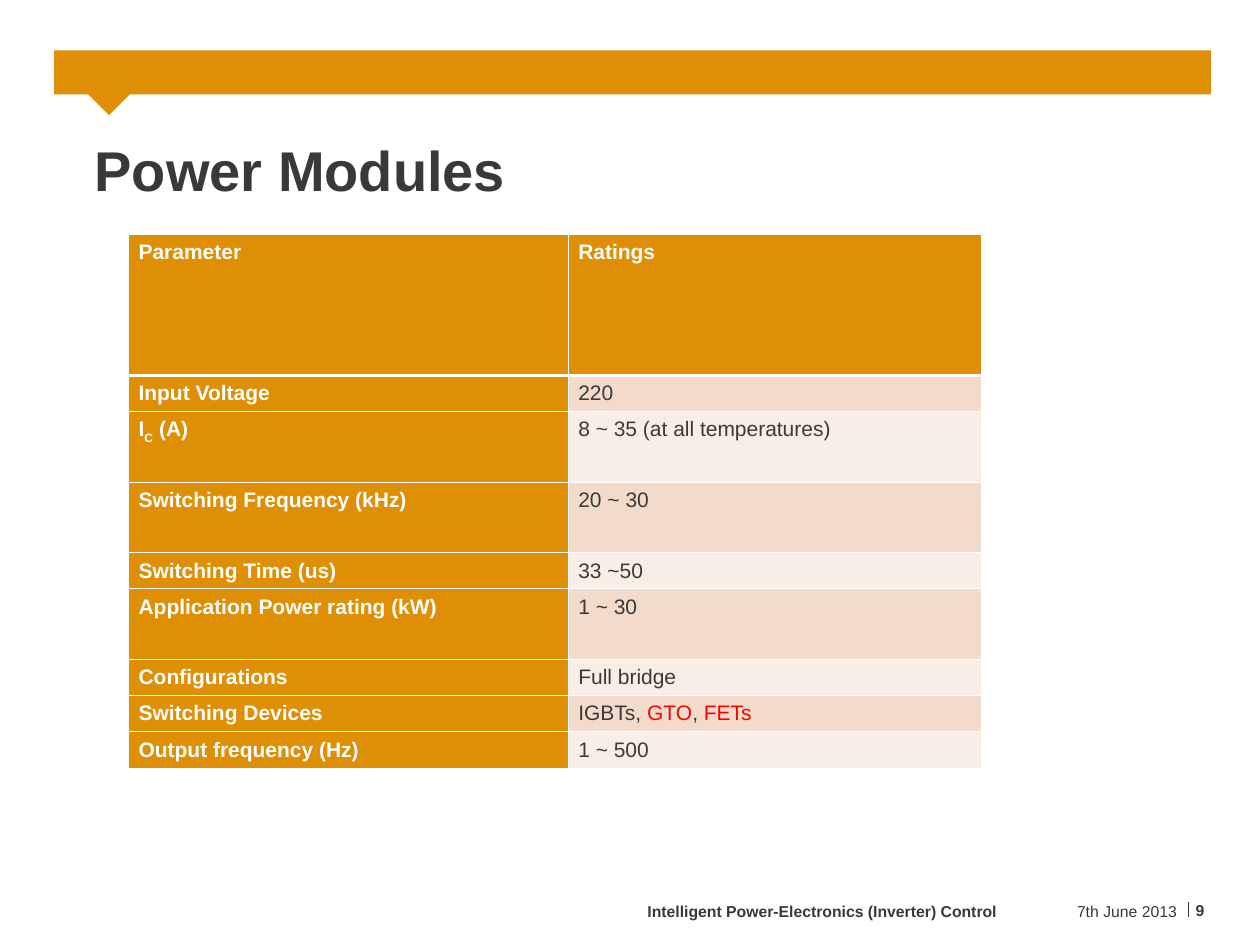
import dataclasses

import pptx
import pptx.dml.color
import pptx.enum.shapes
import pptx.enum.text
import pptx.oxml
import pptx.oxml.ns
import pptx.util

Inches = pptx.util.Inches
Pt = pptx.util.Pt
Align = pptx.enum.text.PP_ALIGN
Anchor = pptx.enum.text.MSO_ANCHOR


@dataclasses.dataclass(frozen=True)
class Theme:
    font: str = "Arial"
    dark: str = "393938"
    white: str = "FFFFFF"
    accent: str = "DF8F05"
    alert: str = "FF0000"
    bands: tuple = ("F3DBCC", "F9EEE7")
    title: int = 32
    body: int = 12
    small: int = 9
    thin: float = 0.45
    thick: float = 1.47


def rgb(code):
    return pptx.dml.color.RGBColor.from_string(code)


class Deck:
    def __init__(self, theme):
        self.theme = theme
        self.file = pptx.Presentation()
        self.file.slide_width = Inches(10)
        self.file.slide_height = Inches(7.5)
        self.slide = self.file.slides.add_slide(self.file.slide_layouts[5])

    def style(self, run, size, color, bold=False):
        font = run.font
        font.name = self.theme.font
        font.size = Pt(size)
        font.bold = bold
        font.color.rgb = rgb(color)

    def frame(self, frame, anchor, right=0, bottom=0):
        frame.word_wrap = True
        frame.vertical_anchor = anchor
        frame.margin_left = frame.margin_top = 0
        frame.margin_right = Inches(right)
        frame.margin_bottom = Inches(bottom)

    def title(self, text, left, top, width, height):
        shape = self.slide.shapes.title
        shape.left, shape.top = Inches(left), Inches(top)
        shape.width, shape.height = Inches(width), Inches(height)
        self.frame(shape.text_frame, Anchor.MIDDLE, 0.1, 0.05)
        shape.text_frame.text = text
        para = shape.text_frame.paragraphs[0]
        para.alignment = Align.LEFT
        self.style(para.runs[0], self.theme.title, self.theme.dark, True)

    def block(self, left, top, width, height, turn=0):
        shape = self.slide.shapes.add_shape(
            pptx.enum.shapes.MSO_SHAPE.RECTANGLE,
            Inches(left), Inches(top), Inches(width), Inches(height))
        shape.shadow.inherit = False
        shape.fill.solid()
        shape.fill.fore_color.rgb = rgb(self.theme.accent)
        shape.line.fill.background()
        shape.rotation = turn

    def line(self, left, top, right, bottom):
        line = self.slide.shapes.add_connector(
            pptx.enum.shapes.MSO_CONNECTOR.STRAIGHT,
            Inches(left), Inches(top), Inches(right), Inches(bottom))
        line.line.color.rgb = rgb(self.theme.dark)
        line.line.width = Pt(0.75)
        props = line._element.spPr
        props.append(props.makeelement(pptx.oxml.ns.qn("a:effectLst"), {}))

    def note(self, text, left, width, height, align, bold=False, wrap=True):
        box = self.slide.shapes.add_textbox(
            Inches(left), Inches(7.15), Inches(width), Inches(height))
        self.frame(box.text_frame, Anchor.BOTTOM)
        box.text_frame.word_wrap = wrap
        box.text_frame.text = text
        para = box.text_frame.paragraphs[0]
        para.alignment = align
        self.style(para.runs[0], self.theme.small, self.theme.dark, bold)

    def edges(self, cell, top, bottom):
        props = cell._tc.get_or_add_tcPr()
        thin = self.theme.thin
        for side, width in zip("LRTB", (thin, thin, top, bottom)):
            props.append(pptx.oxml.parse_xml(
                f'<a:ln{side} {pptx.oxml.ns.nsdecls("a")} w="{Pt(width)}">'
                f'<a:solidFill><a:srgbClr val="{self.theme.white}"/></a:solidFill>'
                f'</a:ln{side}>'))

    def cell(self, cell, parts, fill, color, bold):
        cell.margin_left = cell.margin_right = Inches(0.08)
        cell.margin_top = cell.margin_bottom = Inches(0.05)
        cell.fill.solid()
        cell.fill.fore_color.rgb = rgb(fill)
        para = cell.text_frame.paragraphs[0]
        para.alignment = Align.JUSTIFY
        # A part is plain text, or text with a mark: "sub" or "alert"
        for part in [parts] if isinstance(parts, str) else parts:
            text, mark = (part, "") if isinstance(part, str) else part
            run = para.add_run()
            run.text = text
            tone = self.theme.alert if mark == "alert" else color
            self.style(run, self.theme.body, tone, bold)
            if mark == "sub":
                run.font._element.set("baseline", "-25000")

    def table(self, rows, left, top, widths, unit):
        theme = self.theme
        total = unit * sum(span for span, *_ in rows)
        table = self.slide.shapes.add_table(
            len(rows), len(widths), Inches(left), Inches(top),
            Inches(sum(widths)), Inches(total)).table
        for col, width in zip(table.columns, widths):
            col.width = Inches(width)
        for i, (span, *texts) in enumerate(rows):
            table.rows[i].height = Inches(span * unit)
            for j, parts in enumerate(texts):
                cell = table.cell(i, j)
                self.edges(cell, theme.thick if i == 1 else theme.thin,
                           theme.thick if i == 0 else theme.thin)
                head = i == 0 or j == 0
                fill = theme.accent if head else theme.bands[(i - 1) % 2]
                color = theme.white if head else theme.dark
                self.cell(cell, parts, fill, color, head)


# Each row: height in units, parameter, rating
ROWS = [
    (4, "Parameter", "Ratings"),
    (1, "Input Voltage", "220"),
    (2, ["I", ("C", "sub"), " (A)"], "8 ~ 35 (at all temperatures)"),
    (2, "Switching Frequency (kHz)", "20 ~ 30"),
    (1, "Switching Time (us)", "33 ~50"),
    (2, "Application Power rating (kW)", "1 ~ 30"),
    (1, "Configurations", "Full bridge"),
    (1, "Switching Devices",
     ["IGBTs, ", ("GTO", "alert"), ", ", ("FETs", "alert")]),
    (1, "Output frequency (Hz)", "1 ~ 500"),
]


def main():
    deck = Deck(Theme())
    # Banner with its pointer
    deck.line(9.43, 7.16, 9.43, 7.28)
    deck.block(0.43, 0.4, 9.18, 0.35)
    deck.block(0.71, 0.54, 0.31, 0.31, 45)
    # Title and ratings
    deck.title("Power Modules", 0.75, 1.03, 8.98, 0.67)
    deck.table(ROWS, 1.02, 1.86, (3.49, 3.28), 0.28)
    # Footer
    deck.note("7th June 2013", 8.03, 1.31, 0.16, Align.RIGHT)
    deck.note("Intelligent Power-Electronics (Inverter) Control",
              2.95, 4.96, 0.16, Align.RIGHT, bold=True, wrap=False)
    deck.note("9", 9.49, 0.16, 0.15, Align.LEFT, bold=True)
    deck.file.save("out.pptx")


if __name__ == "__main__":
    main()
